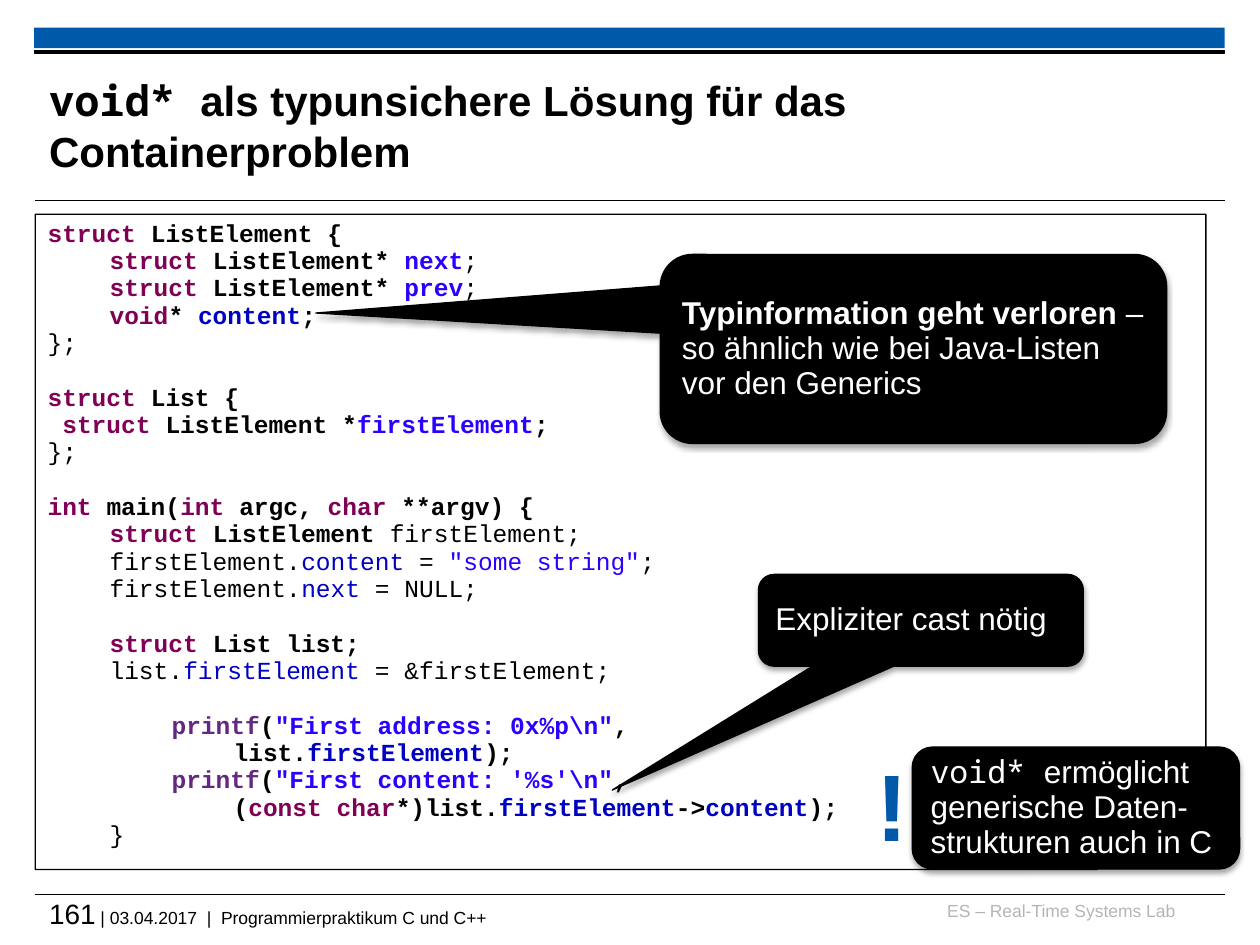
from typing import NamedTuple

from pptx import Presentation
from pptx.dml.color import RGBColor
from pptx.enum.shapes import MSO_CONNECTOR, MSO_SHAPE
from pptx.enum.text import MSO_ANCHOR, MSO_AUTO_SIZE, PP_ALIGN
from pptx.oxml import parse_xml
from pptx.oxml.ns import nsdecls
from pptx.util import Cm, Pt

COLORS = {
    "black": "000000",
    "white": "FFFFFF",
    "blue": "005AA9",
    "grey": "B5B5B5",
    "keyword": "7F0055",
    "literal": "2A00FF",
    "field": "0000C0",
    "function": "642880",
}
SANS, MONO, CODE = "Arial", "Noto Sans Mono", "Courier New"
LINE_SPACING = 0.93
INDENT = 1.25  # cm per code level
BLANK_LINE = Pt(15.6)


class Span(NamedTuple):
    text: str
    color: str = "black"
    bold: bool = False
    font: str = SANS
    size: float = 18


class CodeLine(NamedTuple):
    indent: int
    spans: list[Span]
    gap: bool = False


class Box(NamedTuple):
    left: float
    top: float
    width: float
    height: float

    def lengths(self) -> list[Cm]:
        return [Cm(value) for value in self]


class Note(NamedTuple):
    kind: MSO_SHAPE
    box: Box
    spans: list[Span]
    adjustments: tuple[float, ...] = ()


def color(name: str) -> RGBColor:
    return RGBColor.from_string(COLORS[name])


def write(paragraph, spans: list[Span], align=PP_ALIGN.LEFT) -> None:
    paragraph.alignment = align
    for span in spans:
        run = paragraph.add_run()
        run.text = span.text
        run.font.name, run.font.size, run.font.bold = span.font, Pt(span.size), span.bold
        run.font.color.rgb = color(span.color)


def clear_insets(text_frame) -> None:
    text_frame.margin_left = text_frame.margin_right = 0
    text_frame.margin_top = text_frame.margin_bottom = 0


def add_shape(slide, kind: MSO_SHAPE, box: Box, fill: str | None, line: str | None):
    shape = slide.shapes.add_shape(kind, *box.lengths())
    shape.shadow.inherit = False
    if fill:
        shape.fill.solid()
        shape.fill.fore_color.rgb = color(fill)
    else:
        shape.fill.background()
    if line:
        shape.line.color.rgb = color(line)
        shape.line.width = Pt(0.75)
    else:
        shape.line.fill.background()
    return shape


def add_rule(slide, left: float, top: float, width: float) -> None:
    rule = slide.shapes.add_connector(
        MSO_CONNECTOR.STRAIGHT, Cm(left), Cm(top), Cm(left + width), Cm(top))
    rule.line.color.rgb = color("black")
    rule.line.width = Pt(0.6)
    rule._element.spPr.append(parse_xml(f"<a:effectLst {nsdecls('a')}/>"))


def add_label(slide, box: Box, spans: list[Span], align=PP_ALIGN.LEFT) -> None:
    text_frame = slide.shapes.add_textbox(*box.lengths()).text_frame
    text_frame.word_wrap = True
    clear_insets(text_frame)
    write(text_frame.paragraphs[0], spans, align)


def add_note(slide, note: Note) -> None:
    shape = add_shape(slide, note.kind, note.box, "black", "black")
    for index, value in enumerate(note.adjustments):
        shape.adjustments[index] = value
    effects = shape._element.spPr.find(
        "{http://schemas.openxmlformats.org/drawingml/2006/main}effectLst")
    effects.append(parse_xml(
        f'<a:outerShdw {nsdecls("a")} blurRad="{Pt(3.1)}" dist="{Pt(1.8)}" dir="5400000" '
        'rotWithShape="0"><a:srgbClr val="000000"><a:alpha val="35000"/></a:srgbClr>'
        "</a:outerShdw>"))
    shape.text_frame.word_wrap = True
    shape.text_frame.vertical_anchor = MSO_ANCHOR.MIDDLE
    paragraph = shape.text_frame.paragraphs[0]
    paragraph.line_spacing = LINE_SPACING
    write(paragraph, note.spans)


def add_code(slide, box: Box, lines: list[CodeLine]) -> None:
    shape = add_shape(slide, MSO_SHAPE.FOLDED_CORNER, box, None, "black")
    text_frame = shape.text_frame
    text_frame.word_wrap = True
    text_frame.vertical_anchor = MSO_ANCHOR.TOP
    for index, line in enumerate(lines):
        paragraph = text_frame.add_paragraph() if index else text_frame.paragraphs[0]
        paragraph.line_spacing = LINE_SPACING
        if line.gap:
            paragraph.space_before = BLANK_LINE
        paragraph._p.get_or_add_pPr().set("marL", str(Cm(INDENT * line.indent)))
        write(paragraph, line.spans)


def code(text: str, kind: str = "black", bold: bool = True) -> Span:
    return Span(text, kind, bold, CODE, 14)


def plain(text: str, kind: str = "black") -> Span:
    return code(text, kind, False)


STRUCT = code("struct ", "keyword")
FIRST = code("firstElement", "field")
PRINTF = [code("printf", "function"), code("(")]

CODE_LINES = [
    CodeLine(0, [STRUCT, code("ListElement {")]),
    *(CodeLine(1, [STRUCT, code("ListElement* "), code(name, "literal"), plain(";")])
      for name in ("next", "prev")),
    CodeLine(1, [code("void", "keyword"), code("* "), code("content", "field"), code(";")]),
    CodeLine(0, [plain("};")]),
    CodeLine(0, [STRUCT, code("List {")], gap=True),
    CodeLine(0, [plain(" "), STRUCT, code("ListElement *"),
                 code("firstElement", "literal"), code(";")]),
    CodeLine(0, [plain("};")]),
    CodeLine(0, [code("int", "keyword"), code(" main("), code("int ", "keyword"),
                 code("argc, "), code("char", "keyword"), code(" **argv) {")], gap=True),
    CodeLine(1, [STRUCT, code("ListElement "), plain("firstElement;")]),
    CodeLine(1, [plain("firstElement."), plain("content ", "field"), plain("= "),
                 plain('"some string"', "literal"), plain(";")]),
    CodeLine(1, [plain("firstElement."), plain("next ", "field"), plain("= NULL;")]),
    CodeLine(1, [STRUCT, code("List list;")], gap=True),
    CodeLine(1, [plain("list."), plain("firstElement", "field"), plain(" = &firstElement;")]),
    CodeLine(2, [*PRINTF, code('"First address: 0x%p\\n"', "literal"), code(",")], gap=True),
    CodeLine(3, [code("list."), FIRST, code(");")]),
    CodeLine(2, [*PRINTF, code('"First content: \'%s\'\\n"', "literal"), code(",")]),
    CodeLine(3, [code("("), code("const char", "keyword"), code("*)list."), FIRST,
                 code("->"), code("content", "field"), code(");")]),
    CodeLine(1, [plain("}")]),
]

NOTES = [
    Note(MSO_SHAPE.ROUNDED_RECTANGULAR_CALLOUT, Box(15.29, 11.58, 6.55, 1.85),
         [Span("Expliziter cast nötig", "white")], (-0.95, 1.85, 0.17)),
    Note(MSO_SHAPE.ROUNDED_RECTANGULAR_CALLOUT, Box(13.31, 5.13, 10.21, 3.81),
         [Span("Typinformation geht verloren ", "white", True),
          Span("– so ähnlich wie bei Java-Listen vor den Generics", "white")],
         (-1.18, -0.19, 0.17)),
    Note(MSO_SHAPE.ROUNDED_RECTANGLE, Box(18.39, 15.06, 6.6, 2.46),
         [Span("void* ", "white", font=MONO),
          Span("ermöglicht generische Daten-strukturen auch in C", "white")]),
]


def main() -> None:
    presentation = Presentation()
    presentation.slide_width, presentation.slide_height = Cm(25.4), Cm(19.05)
    slide = presentation.slides.add_slide(presentation.slide_layouts[5])

    # Header bars and rules
    add_shape(slide, MSO_SHAPE.RECTANGLE, Box(0.69, 0.56, 24, 0.41), "blue", None)
    add_shape(slide, MSO_SHAPE.RECTANGLE, Box(0.69, 1.02, 24, 0.05), "black", "black")
    for top in (4.04, 18.03):
        add_rule(slide, 0.7, top, 24)

    # Footer
    add_label(slide, Box(18.69, 18.14, 5, 0.64),
              [Span("ES – Real-Time Systems Lab", "grey", size=10)], PP_ALIGN.RIGHT)
    add_label(slide, Box(0.99, 18.08, 23.7, 0.84),
              [Span("161", size=16),
               Span(" | 03.04.2017  |  Programmierpraktikum C und C++", size=10)])

    # Title
    title = slide.shapes.title
    title.left, title.top, title.width, title.height = Box(0.99, 1.35, 19.1, 2.34).lengths()
    title.text_frame.auto_size = MSO_AUTO_SIZE.NONE
    title.text_frame.vertical_anchor = MSO_ANCHOR.MIDDLE
    clear_insets(title.text_frame)
    write(title.text_frame.paragraphs[0],
          [Span("void* ", bold=True, font=MONO, size=24),
           Span("als typunsichere Lösung für das Containerproblem", bold=True, size=24)])

    # Code listing, notes and exclamation mark
    add_code(slide, Box(0.71, 4.32, 23.6, 13.21), CODE_LINES)
    for note in NOTES:
        add_note(slide, note)
    mark = slide.shapes.add_textbox(*Box(17.42, 15.14, 1.14, 2.41).lengths()).text_frame
    mark.word_wrap = False
    mark.paragraphs[0].line_spacing = LINE_SPACING
    write(mark.paragraphs[0], [Span("!", "blue", True, size=54)], PP_ALIGN.CENTER)

    presentation.save("out.pptx")


if __name__ == "__main__":
    main()
